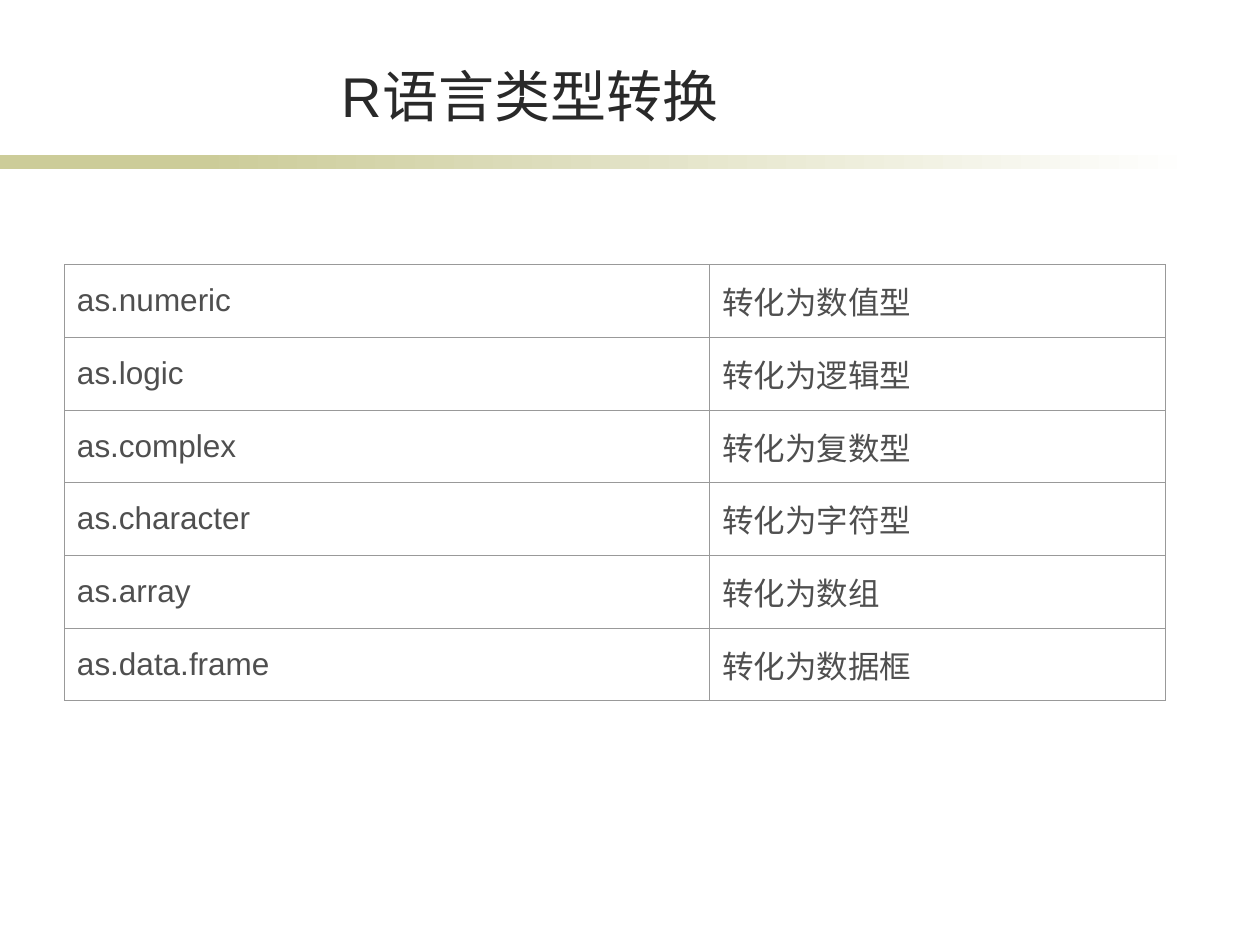
from dataclasses import dataclass

from lxml import etree
from pptx import Presentation
from pptx.dml.color import RGBColor
from pptx.enum.shapes import MSO_SHAPE
from pptx.enum.text import MSO_ANCHOR, MSO_AUTO_SIZE, PP_ALIGN
from pptx.oxml.ns import qn
from pptx.util import Pt

RECTANGLE = MSO_SHAPE.RECTANGLE
MIDDLE, BOTTOM = MSO_ANCHOR.MIDDLE, MSO_ANCHOR.BOTTOM
LEFT, CENTER = PP_ALIGN.LEFT, PP_ALIGN.CENTER
NO_AUTOFIT = MSO_AUTO_SIZE.NONE
TITLE_ONLY = 5


@dataclass(frozen=True)
class Theme:
    font: str = "Arial"
    title_size: float = 32
    body_size: float = 18
    title_color: str = "292929"
    body_color: str = "4F4F4F"
    band_color: str = "CCCC99"
    paper: str = "FFFFFF"
    border_color: str = "999999"
    border_width: float = 0.34


THEME = Theme()
CONVERSIONS = [
    ("as.numeric", "转化为数值型"),
    ("as.logic", "转化为逻辑型"),
    ("as.complex", "转化为复数型"),
    ("as.character", "转化为字符型"),
    ("as.array", "转化为数组"),
    ("as.data.frame", "转化为数据框"),
]


def place(shape, box):
    shape.left, shape.top, shape.width, shape.height = (Pt(side) for side in box)


def write(frame, text, size, color, align):
    frame.text = text
    para = frame.paragraphs[0]
    para.alignment = align
    span = para.runs[0]
    span.font.name = THEME.font
    span.font.size = Pt(size)
    span.font.color.rgb = RGBColor.from_string(color)


def add_title(page, box, text):
    title = page.shapes.title
    place(title, box)
    frame = title.text_frame
    frame.auto_size = NO_AUTOFIT
    frame.vertical_anchor = BOTTOM
    write(frame, text, THEME.title_size, THEME.title_color, CENTER)


def add_band(page, box):
    """Solid strip at the left that fades out to the right."""
    left, top, width, height = box
    fade_left = left + width / 6
    solid = page.shapes.add_shape(RECTANGLE, 0, 0, 0, 0)
    place(solid, (left, top, width / 4, height))
    solid.fill.solid()
    solid.fill.fore_color.rgb = RGBColor.from_string(THEME.band_color)

    fade = page.shapes.add_shape(RECTANGLE, 0, 0, 0, 0)
    place(fade, (fade_left, top, left + width - fade_left, height))
    fade.fill.gradient()
    fade.fill.gradient_angle = 0
    for stop, color in zip(fade.fill.gradient_stops, (THEME.band_color, THEME.paper)):
        stop.color.rgb = RGBColor.from_string(color)

    for strip in (solid, fade):
        strip.line.fill.background()
        strip.shadow.inherit = False


def add_borders(cell):
    properties = cell._tc.get_or_add_tcPr()
    for index, edge in enumerate(("a:lnL", "a:lnR", "a:lnT", "a:lnB")):
        line = etree.Element(qn(edge), w=str(Pt(THEME.border_width)))
        fill = etree.SubElement(line, qn("a:solidFill"))
        etree.SubElement(fill, qn("a:srgbClr"), val=THEME.border_color)
        properties.insert(index, line)


def add_conversion_table(page, box, rows):
    left, top, width, height = (Pt(side) for side in box)
    table = page.shapes.add_table(len(rows), 2, left, top, width, height).table
    table.first_row = table.horz_banding = False
    table.columns[0].width = Pt(368.6)
    table.columns[1].width = width - Pt(368.6)
    for row, texts in zip(table.rows, rows):
        row.height = height // len(rows)
        for cell, text in zip(row.cells, texts):
            cell.fill.background()
            cell.vertical_anchor = MIDDLE
            add_borders(cell)
            write(cell.text_frame, text, THEME.body_size, THEME.body_color, LEFT)


def main():
    deck = Presentation()
    deck.slide_width, deck.slide_height = Pt(720), Pt(540)
    page = deck.slides.add_slide(deck.slide_layouts[TITLE_ONLY])

    # Header
    add_band(page, (0, 88.6, 684, 8))
    add_title(page, (82, 31.7, 442, 45.4), "R语言类型转换")

    # Conversion functions and their meaning
    add_conversion_table(page, (36.8, 151.2, 629.2, 249.2), CONVERSIONS)

    deck.save("out.pptx")


if __name__ == "__main__":
    main()
